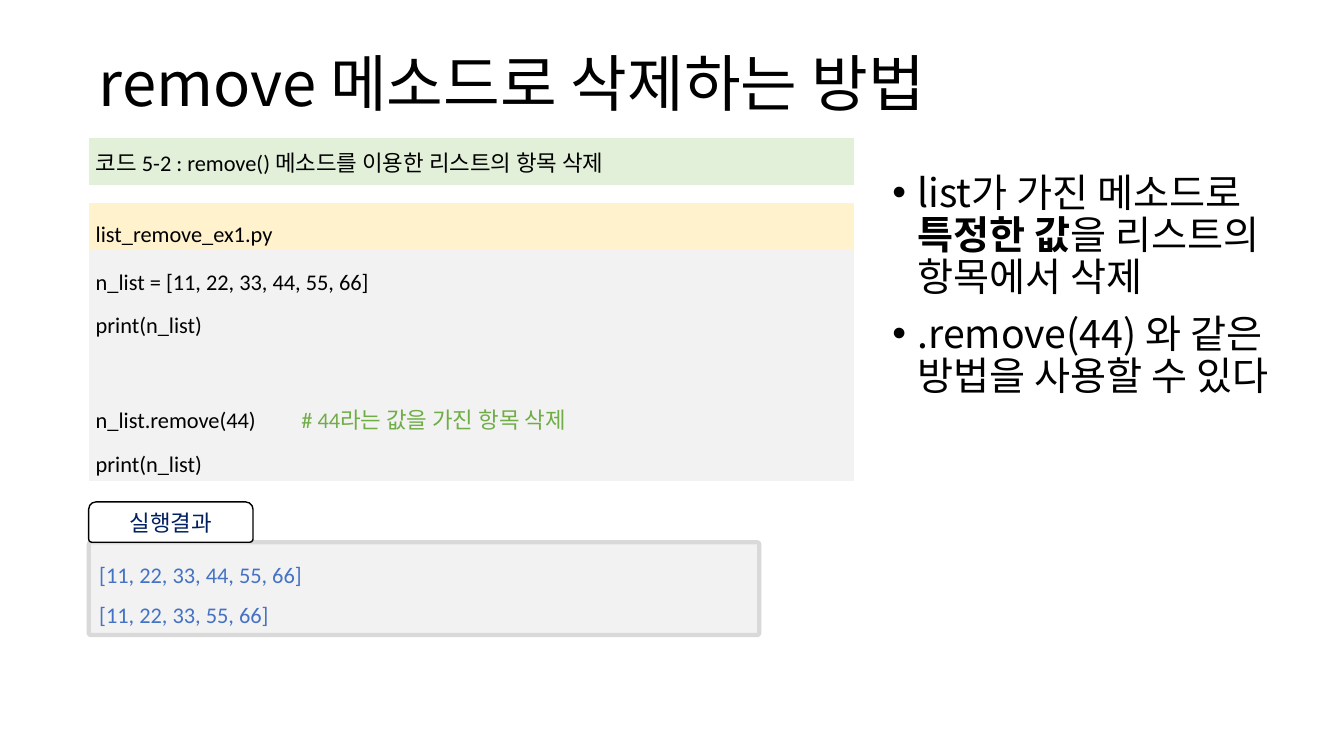
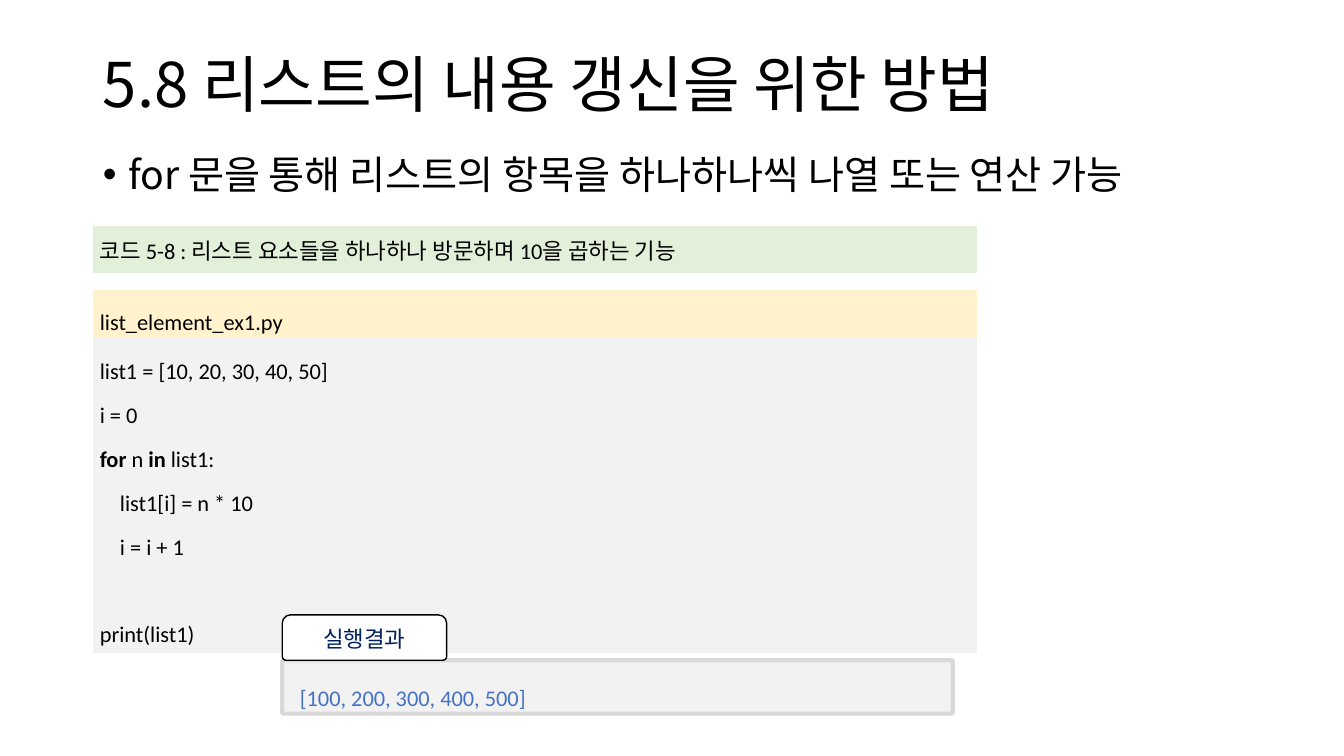
from lxml.etree import SubElement
from pptx import Presentation
from pptx.dml.color import RGBColor
from pptx.enum.shapes import MSO_SHAPE
from pptx.enum.text import MSO_ANCHOR, MSO_AUTO_SIZE, PP_ALIGN
from pptx.oxml.ns import qn
from pptx.util import Inches, Pt

# Shared look
HANGUL = "Noto Sans CJK KR"
LATIN = "Calibri"
BLACK, WHITE, NAVY, BLUE, COMMENT = "000000", "FFFFFF", "002060", "4472C4", "70AD47"
GREEN_BAND, YELLOW_BAND, GRAY, GRAY_EDGE = "E2F0D9", "FFF2CC", "F2F2F2", "D9D9D9"
NO_TABLE_STYLE = "{2D5ABB26-0587-4C30-8999-92F81FD0307C}"
CODE_SIZE = 16
BLANK_LINE = Pt(31)
OUTPUT_WIDTH, TAB_WIDTH = 6.65, 1.63

# Contents: a code line is (indent level, spans); None is an empty line
slides = [
    {
        "title": "remove 메소드로 삭제하는 방법",
        "title_at": (0.88, 0.13),
        "body_at": (8.75, 1.67, 4.07, 4.76),
        "bullets": [
            [("list가 가진 메소드로 ",), ("특정한 값", "bold"), ("을 리스트의 항목에서 삭제",)],
            [(".remove(44) 와 같은 방법을 사용할 수 있다",)],
        ],
        "table_at": (0.88, 1.37, 7.59),
        "code_height": 1.94,
        "caption": "코드 5-2 : remove() 메소드를 이용한 리스트의 항목 삭제",
        "file": "list_remove_ex1.py",
        "code": [
            (0, [("n_list = [11, 22, 33, 44, 55, 66]",)]),
            (0, [("print(n_list)",)]),
            None,
            (0, [("n_list.remove(44)\t",), ("# 44라는 값을 가진 항목 삭제", "comment")]),
            (0, [("print(n_list)",)]),
        ],
        "output_at": (0.88, 5.38, 0.92),
        "output_inset": (0.1, 0.05),
        "tab_height": 0.4,
        "output": ["[11, 22, 33, 44, 55, 66]", "[11, 22, 33, 55, 66]"],
    },
    {
        "title": "5.8 리스트의 내용 갱신을 위한 방법",
        "title_at": (0.92, 0.14),
        "body_at": (0.92, 1.49, 11.77, 4.76),
        "bullets": [[("for 문을 통해 리스트의 항목을 하나하나씩 나열 또는 연산 가능",)]],
        "table_at": (0.92, 2.24, 8.77),
        "code_height": 3.12,
        "caption": "코드 5-8 : 리스트 요소들을 하나하나 방문하며 10을 곱하는 기능",
        "file": "list_element_ex1.py",
        "code": [
            (0, [("list1 = [10, 20, 30, 40, 50]",)]),
            (0, [("i = 0",)]),
            (0, [("for", "bold"), (" n ",), ("in", "bold"), (" list1:",)]),
            (1, [("list1[i] = n * 10",)]),
            (1, [("i = i + 1",)]),
            None,
            (0, [("print(list1)",)]),
        ],
        "output_at": (2.8, 6.55, 0.53),
        "output_inset": (0.17, 0.1),
        "tab_height": 0.45,
        "output": ["[100, 200, 300, 400, 500]"],
    },
]


def color(hex_code):
    return RGBColor.from_string(hex_code)


def write(para, spans, size, font, hex_code=BLACK, spacing=1.0, align=PP_ALIGN.LEFT):
    para.line_spacing = spacing
    para.alignment = align
    for text, *styles in spans:
        span = para.add_run()
        span.text = text
        span.font.size = Pt(size)
        span.font.name = font
        span.font.bold = "bold" in styles
        span.font.color.rgb = color(COMMENT if "comment" in styles else hex_code)
        SubElement(span._r.get_or_add_rPr(), qn("a:ea"), typeface=HANGUL)


deck = Presentation()
deck.slide_width, deck.slide_height = Inches(13.33), Inches(7.5)

for content in slides:
    page = deck.slides.add_slide(deck.slide_layouts[1])

    # Title
    title = page.shapes.title
    title.left, title.top = [Inches(value) for value in content["title_at"]]
    title.width, title.height = Inches(11.5), Inches(1.45)
    title.text_frame.auto_size = MSO_AUTO_SIZE.NONE
    title.text_frame.vertical_anchor = MSO_ANCHOR.MIDDLE
    write(title.text_frame.paragraphs[0], [(content["title"],)], 44, HANGUL, spacing=0.9)

    # Bullets
    body = page.placeholders[1]
    body.left, body.top, body.width, body.height = [Inches(value) for value in content["body_at"]]
    frame = body.text_frame
    frame.auto_size = MSO_AUTO_SIZE.NONE
    for index, spans in enumerate(content["bullets"]):
        para = frame.add_paragraph() if index else frame.paragraphs[0]
        para.space_before = Pt(10)
        write(para, spans, 28, HANGUL, spacing=0.9)
        properties = para._p.get_or_add_pPr()
        properties.set("marL", str(Inches(0.25)))
        properties.set("indent", str(Inches(-0.25)))

    # Code table: caption, gap, file name, code
    left, top, width = content["table_at"]
    heights = [0.47, 0.17, 0.43, content["code_height"]]
    holder = page.shapes.add_table(4, 1, Inches(left), Inches(top), Inches(width), Inches(sum(heights)))
    table = holder.table
    table.first_row = table.horz_banding = False
    for style in holder.element.iter(qn("a:tableStyleId")):
        style.text = NO_TABLE_STYLE
    for row, height, fill in zip(table.rows, heights, [GREEN_BAND, None, YELLOW_BAND, GRAY]):
        row.height = Inches(height)
        cell = row.cells[0]
        cell.vertical_anchor = MSO_ANCHOR.MIDDLE
        cell.margin_left = cell.margin_right = Inches(0.07)
        cell.margin_top = cell.margin_bottom = Inches(0.02)
        if fill:
            cell.fill.solid()
            cell.fill.fore_color.rgb = color(fill)
        else:
            cell.fill.background()
    caption, gap, file_name, code = [table.cell(row, 0).text_frame for row in range(4)]
    write(caption.paragraphs[0], [(content["caption"],)], CODE_SIZE, LATIN)
    SubElement(gap.paragraphs[0]._p, qn("a:endParaRPr"), sz="500")
    write(file_name.paragraphs[0], [(content["file"],)], CODE_SIZE, LATIN, spacing=1.6, align=PP_ALIGN.JUSTIFY)
    after_blank = False
    for index, line in enumerate(content["code"]):
        if line is None:
            after_blank = True
            continue
        level, spans = line
        para = code.add_paragraph() if index else code.paragraphs[0]
        if after_blank:
            para.space_before = BLANK_LINE
            after_blank = False
        write(para, spans, CODE_SIZE, LATIN, spacing=1.6, align=PP_ALIGN.JUSTIFY)
        properties = para._p.get_or_add_pPr()
        properties.set("marL", str(Inches(0.2 * level)))
        tab_stops = SubElement(properties, qn("a:tabLst"))
        SubElement(tab_stops, qn("a:tab"), pos=str(Inches(2.04)), algn="l")

    # Output box with its tab
    left, top, height = content["output_at"]
    tab_height = content["tab_height"]
    group = page.shapes.add_group_shape()
    output = group.shapes.add_shape(
        MSO_SHAPE.ROUNDED_RECTANGLE, Inches(left), Inches(top), Inches(OUTPUT_WIDTH), Inches(height))
    output.adjustments[0] = 0.023
    tab = group.shapes.add_shape(
        MSO_SHAPE.ROUND_2_SAME_RECTANGLE, Inches(left), Inches(top - tab_height),
        Inches(TAB_WIDTH), Inches(tab_height))
    tab.adjustments[0], tab.adjustments[1] = 0.18, 0.08
    for box, fill, edge, weight in [(output, GRAY, GRAY_EDGE, 3), (tab, WHITE, BLACK, 1)]:
        box.shadow.inherit = False
        box.fill.solid()
        box.fill.fore_color.rgb = color(fill)
        box.line.color.rgb = color(edge)
        box.line.width = Pt(weight)
    tab.text_frame.vertical_anchor = MSO_ANCHOR.MIDDLE
    write(tab.text_frame.paragraphs[0], [("실행결과",)], CODE_SIZE, HANGUL, NAVY, align=PP_ALIGN.CENTER)
    frame = output.text_frame
    frame.vertical_anchor = MSO_ANCHOR.TOP
    frame.margin_left, frame.margin_top = [Inches(value) for value in content["output_inset"]]
    frame.margin_bottom = 0
    for index, text in enumerate(content["output"]):
        para = frame.add_paragraph() if index else frame.paragraphs[0]
        write(para, [(text,)], CODE_SIZE, LATIN, BLUE, spacing=1.5)

deck.save("out.pptx")
